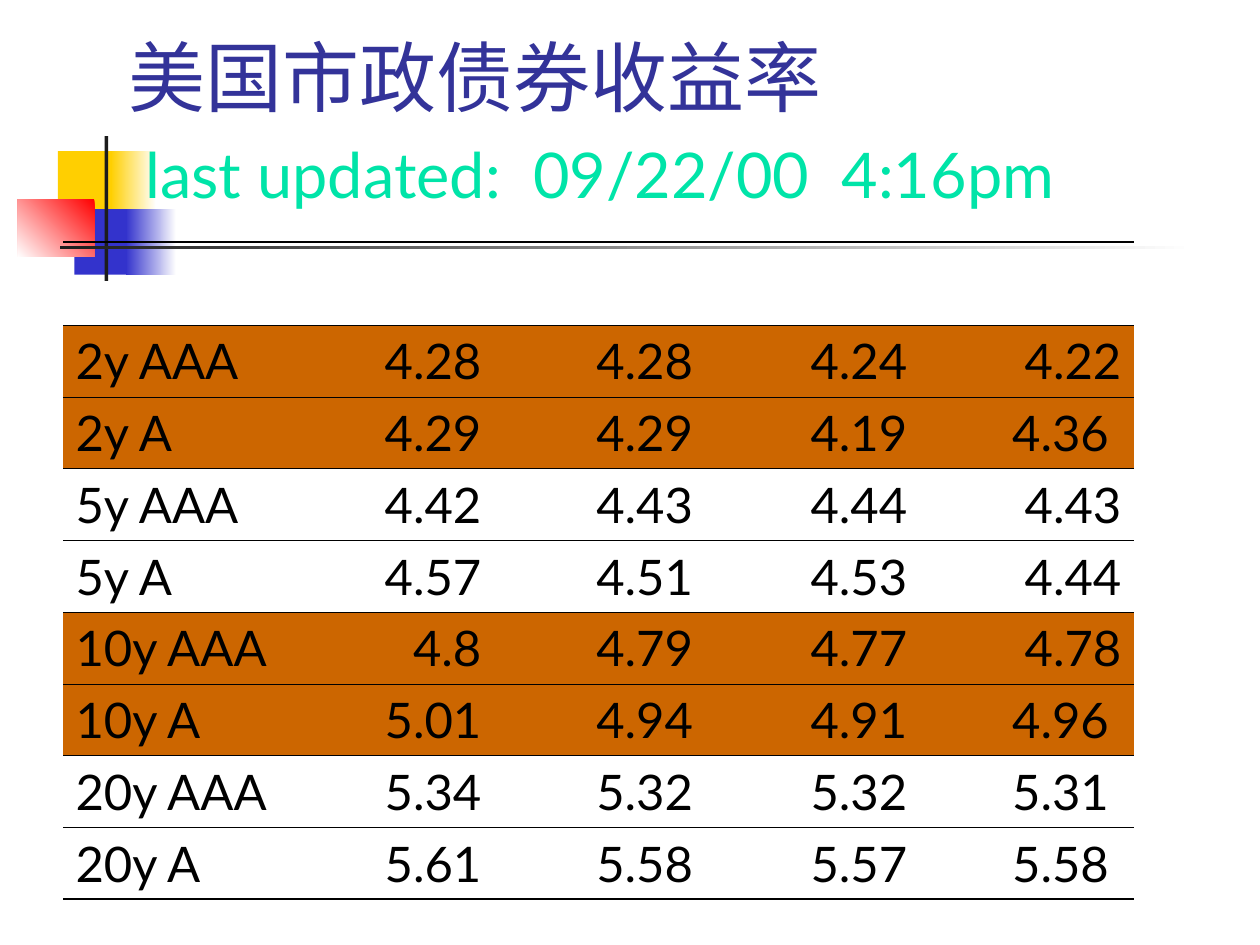
from pptx import Presentation
from pptx.dml.color import RGBColor
from pptx.enum.shapes import MSO_SHAPE
from pptx.enum.text import MSO_ANCHOR, PP_ALIGN
from pptx.oxml import parse_xml
from pptx.oxml.ns import nsdecls
from pptx.util import Inches, Pt

WHITE = RGBColor(0xFF, 0xFF, 0xFF)
BLACK = RGBColor(0x00, 0x00, 0x00)
DARK = RGBColor(0x1C, 0x1C, 0x1C)
GOLD = RGBColor(0xFF, 0xCF, 0x01)
BLUE = RGBColor(0x33, 0x33, 0xCC)
RED = RGBColor(0xFF, 0x00, 0x00)
NAVY = RGBColor(0x33, 0x33, 0x99)
MINT = RGBColor(0x00, 0xE4, 0xA8)
RUST = RGBColor(0xCC, 0x66, 0x00)

THIN, THICK = 0.45, 1.08

# The last column keeps its trailing spaces, which shift the figures
RATES = [
    ["2y AAA", "4.28", "4.28", "4.24", "4.22"],
    ["2y A", "4.29", "4.29", "4.19", "4.36 "],
    ["5y AAA", "4.42", "4.43", "4.44", "4.43"],
    ["5y A", "4.57", "4.51", "4.53", "4.44"],
    ["10y AAA", "4.8", "4.79", "4.77", "4.78"],
    ["10y A", "5.01", "4.94", "4.91", "4.96 "],
    ["20y AAA", "5.34", "5.32", "5.32", "5.31 "],
    ["20y A", "5.61", "5.58", "5.57", "5.58 "],
]
BANDS = [None, RUST, RUST, WHITE, WHITE, RUST, RUST, None, None]
COLS = [2.09, 1.33, 1.68, 1.7, 1.7]


class Deck:
    face = "Lato"

    def __init__(self, slide):
        self.slide = slide

    def style(self, font, size, color):
        for key, value in {"name": self.face, "size": Pt(size)}.items():
            setattr(font, key, value)
        font.color.rgb = color

    def block(self, box, *colors, angle=180):
        """Rectangle with a plain fill, or a gradient when two colours are given."""
        shape = self.slide.shapes.add_shape(MSO_SHAPE.RECTANGLE, *map(Inches, box))
        shape.shadow.inherit = False
        shape.line.fill.background()
        if len(colors) == 1:
            shape.fill.solid()
            shape.fill.fore_color.rgb = colors[0]
            return
        shape.fill.gradient()
        shape.fill.gradient_angle = angle
        for stop, color in zip(shape.fill.gradient_stops, colors):
            stop.color.rgb = color

    def title(self, box, runs):
        frame = self.slide.shapes.add_textbox(*map(Inches, box)).text_frame
        form = {"word_wrap": True, "vertical_anchor": MSO_ANCHOR.BOTTOM}
        for key, value in form.items():
            setattr(frame, key, value)
        para = frame.paragraphs[0]
        for lines, size, color in runs:
            for i, text in enumerate(lines):
                if i:
                    para.add_line_break()
                run = para.add_run()
                run.text = text
                self.style(run.font, size, color)

    def border(self, cell, top, bottom):
        props = cell._tc.get_or_add_tcPr()
        for side, width in {"L": 0, "R": 0, "T": top, "B": bottom}.items():
            paint = '<a:solidFill><a:srgbClr val="000000"/></a:solidFill>'
            props.append(parse_xml(
                f'<a:ln{side} {nsdecls("a")} w="{int(Pt(width))}">'
                f'{paint if width else "<a:noFill/>"}</a:ln{side}>'))

    def cell(self, cell, fill, edges):
        self.border(cell, *edges)
        if fill is None:
            cell.fill.background()
        else:
            cell.fill.solid()
            cell.fill.fore_color.rgb = fill

    def label(self, cell, text, align):
        para = cell.text_frame.paragraphs[0]
        para.alignment = align
        run = para.add_run()
        run.text = text
        self.style(run.font, 28, BLACK)

    def table(self, box, rows):
        """Grid with an empty top row above the given rows."""
        last = len(rows)
        table = self.slide.shapes.add_table(
            last + 1, len(COLS), *map(Inches, box)).table
        for key in ("first_row", "horz_banding"):
            setattr(table, key, False)
        for col, width in zip(table.columns, COLS):
            col.width = Inches(width)
        for r, fill in enumerate(BANDS):
            table.rows[r].height = Inches(0.57 if r else 0.66)
            edges = (THIN if r else THICK, THICK if r == last else THIN)
            for c in range(len(COLS)):
                self.cell(table.cell(r, c), fill, edges)
        for r, row in enumerate(rows, 1):
            for c, text in enumerate(row):
                align = PP_ALIGN.RIGHT if c else PP_ALIGN.LEFT
                self.label(table.cell(r, c), text, align)


def main():
    prs = Presentation()
    prs.slide_width, prs.slide_height = Inches(10), Inches(7.5)
    deck = Deck(prs.slides.add_slide(prs.slide_layouts[6]))

    # Corner ornament
    deck.block((0.46, 1.2, 0.48, 0.52), GOLD)
    deck.block((0.88, 1.2, 0.36, 0.52), WHITE, GOLD)
    deck.block((0.59, 1.66, 0.46, 0.52), BLUE)
    deck.block((1, 1.66, 0.4, 0.52), WHITE, BLUE)
    deck.block((0.14, 1.58, 0.61, 0.46), RED, WHITE, angle=225)
    deck.block((0.83, 1.08, 0.03, 1.15), DARK)
    deck.block((0.48, 1.95, 9, 0.03), WHITE, DARK)

    # Title and date
    deck.title((0.92, 0.25, 8.5, 1.5), [
        (["美国市政债券收益率", " "], 44, NAVY),
        (["last updated:  09/22/00  4:16pm"], 36, MINT),
    ])

    # Yield table
    deck.table((0.5, 1.92, 8.5, 5.22), RATES)
    prs.save("out.pptx")


if __name__ == "__main__":
    main()
